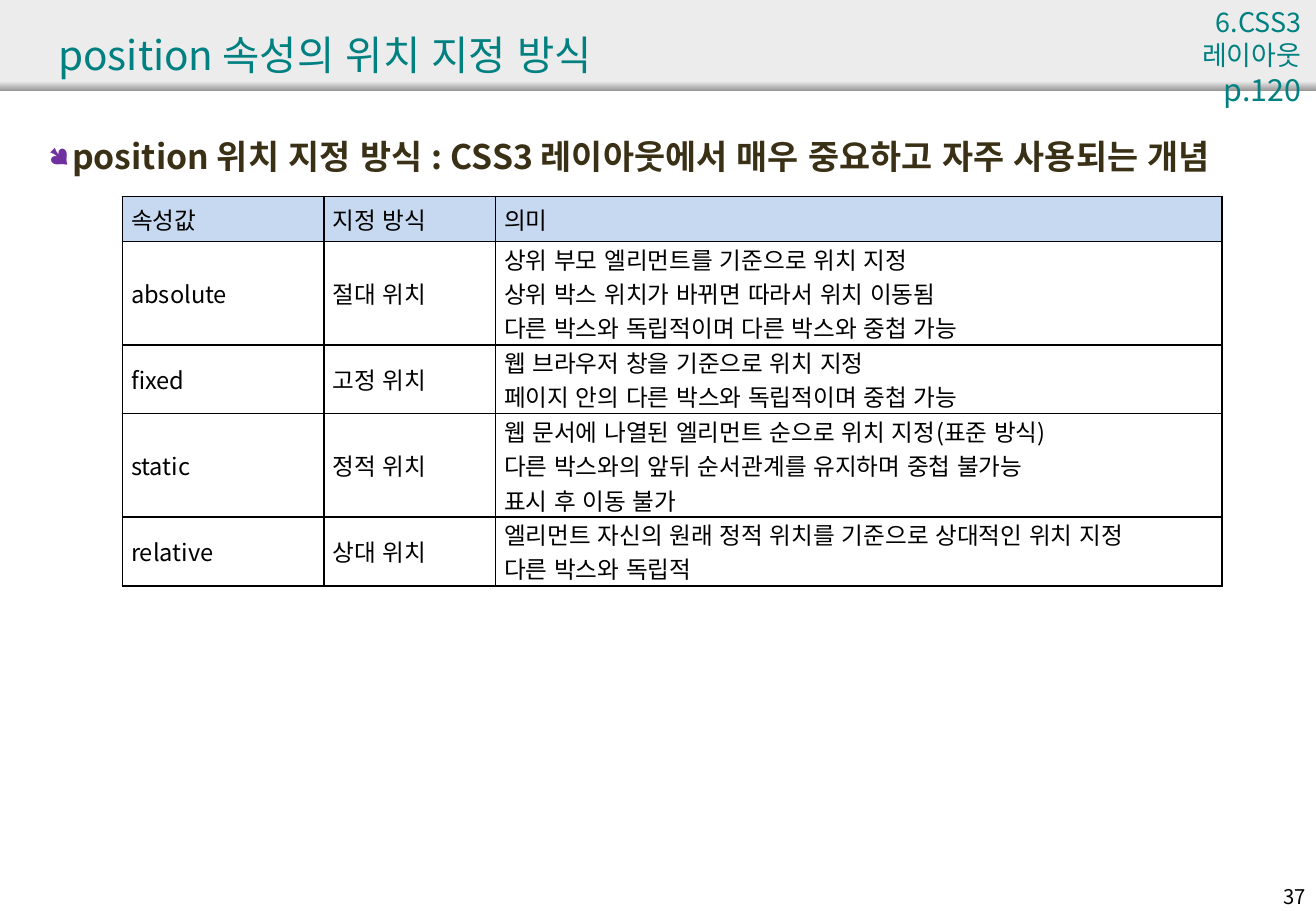
from lxml import etree
from pptx import Presentation
from pptx.dml.color import RGBColor
from pptx.enum.lang import MSO_LANGUAGE_ID
from pptx.enum.shapes import MSO_SHAPE
from pptx.enum.text import MSO_ANCHOR, PP_ALIGN
from pptx.oxml.ns import qn
from pptx.util import Cm, Pt

RECTANGLE = MSO_SHAPE.RECTANGLE
TOP, MIDDLE = MSO_ANCHOR.TOP, MSO_ANCHOR.MIDDLE
LEFT, RIGHT, JUSTIFY = PP_ALIGN.LEFT, PP_ALIGN.RIGHT, PP_ALIGN.JUSTIFY
KOREAN = MSO_LANGUAGE_ID.KOREAN

FONT, BULLET_FONT = "Noto Sans CJK KR", "Wingdings"
TEAL, BROWN, PURPLE, BLACK = "008080", "3A3016", "7030A0", "000000"
BAND, BAND_EDGE, HEADING_FILL = "ECECEC", "979797", "C6D9F1"

SLIDE_WIDTH, SLIDE_HEIGHT = 27.52, 19.05
LINE_HEIGHT = 0.72
HEADING_HEIGHT = 0.94
COLUMN_SHARES = (1.66, 1.41, 5.98)
POSITION_ROWS = [
    ("속성값", "지정 방식", ["의미"]),
    ("absolute", "절대 위치", ["상위 부모 엘리먼트를 기준으로 위치 지정",
                           "상위 박스 위치가 바뀌면 따라서 위치 이동됨",
                           "다른 박스와 독립적이며 다른 박스와 중첩 가능"]),
    ("fixed", "고정 위치", ["웹 브라우저 창을 기준으로 위치 지정",
                        "페이지 안의 다른 박스와 독립적이며 중첩 가능"]),
    ("static", "정적 위치", ["웹 문서에 나열된 엘리먼트 순으로 위치 지정(표준 방식)",
                         "다른 박스와의 앞뒤 순서관계를 유지하며 중첩 불가능",
                         "표시 후 이동 불가"]),
    ("relative", "상대 위치", ["엘리먼트 자신의 원래 정적 위치를 기준으로 상대적인 위치 지정",
                           "다른 박스와 독립적"]),
]


def color(value):
    return RGBColor.from_string(value)


def set_attributes(target, values):
    for name, value in values.items():
        setattr(target, name, value)


def add_run(paragraph, text, size, text_color, bold=False):
    run = paragraph.add_run()
    run.text = text
    set_attributes(run.font, {"name": FONT, "size": Pt(size), "bold": bold,
                              "language_id": KOREAN})
    run.font.color.rgb = color(text_color)
    etree.SubElement(run._r.get_or_add_rPr(), qn("a:ea"), typeface=FONT)


def add_text(slide, box, runs, align=LEFT, anchor=TOP):
    """Add a one-paragraph text box; runs are (text, size, color, bold)."""
    shape = slide.shapes.add_textbox(*map(Cm, box))
    set_attributes(shape.text_frame, {"word_wrap": True, "vertical_anchor": anchor})
    paragraph = shape.text_frame.paragraphs[0]
    paragraph.alignment = align
    for run in runs:
        add_run(paragraph, *run)
    return shape


def add_band(slide, box):
    shape = slide.shapes.add_shape(RECTANGLE, *map(Cm, box))
    shape.shadow.inherit = False
    shape.line.fill.background()
    return shape


def add_header(slide, left, top, width, height):
    # Grey band with a shaded lower edge
    band = add_band(slide, (left, top, width, height))
    band.fill.solid()
    band.fill.fore_color.rgb = color(BAND)
    edge_height = 0.2
    edge = add_band(slide, (left, top + height - edge_height, width, edge_height))
    edge.fill.gradient()
    edge.fill.gradient_angle = 270
    for stop, value in zip(edge.fill.gradient_stops, (BAND, BAND_EDGE)):
        stop.color.rgb = color(value)

    # Title and chapter reference
    add_text(slide, (left + 0.97, top + 0.33, 25.2, 1.6),
             [("position 속성의 위치 지정 방식", 24, TEAL)], anchor=MIDDLE)
    chapter = add_text(slide, (left + width - 4.53, top, 4.47, 1.02),
                       [("6.CSS3 레이아웃 ", 16, TEAL), ("p.120", 18, TEAL)], align=RIGHT)
    chapter.text_frame.margin_left = Cm(1.3)


def add_key_point(slide, left, top, width, height):
    shape = add_text(slide, (left, top, width, height),
                     [("position 위치 지정 방식 : CSS3 레이아웃에서 매우 중요하고 자주 사용되는 개념",
                       20, BROWN, True)])
    properties = shape.text_frame.paragraphs[0]._p.get_or_add_pPr()
    indent = Cm(0.5)
    properties.set("marL", str(indent))
    properties.set("indent", str(-indent))
    bullet_color = etree.SubElement(properties, qn("a:buClr"))
    etree.SubElement(bullet_color, qn("a:srgbClr"), val=PURPLE)
    etree.SubElement(properties, qn("a:buSzPct"), val="80000")
    etree.SubElement(properties, qn("a:buFont"), typeface=BULLET_FONT)
    etree.SubElement(properties, qn("a:buChar"), char="●")


def add_borders(cell):
    properties = cell._tc.get_or_add_tcPr()
    for index, side in enumerate(("lnL", "lnR", "lnT", "lnB")):
        line = etree.Element(qn(f"a:{side}"), w=str(Pt(1)))
        fill = etree.SubElement(line, qn("a:solidFill"))
        etree.SubElement(fill, qn("a:srgbClr"), val=BLACK)
        properties.insert(index, line)


def fill_cell(cell, lines, is_heading):
    set_attributes(cell, {"vertical_anchor": MIDDLE, "margin_left": Cm(0.18),
                          "margin_right": Cm(0.18), "margin_top": 0, "margin_bottom": 0})
    if is_heading:
        cell.fill.solid()
        cell.fill.fore_color.rgb = color(HEADING_FILL)
    else:
        cell.fill.background()
    add_borders(cell)
    frame = cell.text_frame
    for index, text in enumerate(lines):
        paragraph = frame.add_paragraph() if index else frame.paragraphs[0]
        paragraph.alignment = JUSTIFY
        add_run(paragraph, text, 14, BLACK)


def add_position_table(slide, left, top, width):
    heights = [HEADING_HEIGHT] + [LINE_HEIGHT * len(row[2]) for row in POSITION_ROWS[1:]]
    box = (left, top, width, sum(heights))
    table = slide.shapes.add_table(len(heights), len(COLUMN_SHARES), *map(Cm, box)).table
    set_attributes(table, {"first_row": False, "horz_banding": False})
    for column, share in zip(table.columns, COLUMN_SHARES):
        column.width = Cm(width * share / sum(COLUMN_SHARES))
    for index, (name, method, meaning) in enumerate(POSITION_ROWS):
        table.rows[index].height = Cm(heights[index])
        for cell, lines in zip(table.rows[index].cells, ([name], [method], meaning)):
            fill_cell(cell, lines, index == 0)


def add_page_number(slide, left, top, width, height):
    add_text(slide, (left, top, width, height), [("37", 12, BLACK)], align=RIGHT)


def main():
    presentation = Presentation()
    set_attributes(presentation, {"slide_width": Cm(SLIDE_WIDTH),
                                  "slide_height": Cm(SLIDE_HEIGHT)})
    slide = presentation.slides.add_slide(presentation.slide_layouts[6])
    add_header(slide, 0, 0, SLIDE_WIDTH, 1.9)
    add_page_number(slide, 26.16, 18.36, 1.4, 0.76)
    add_key_point(slide, 0.76, 2.72, 26.2, 15.8)
    add_position_table(slide, 2.56, 4.11, 23)
    presentation.save("out.pptx")


if __name__ == "__main__":
    main()
